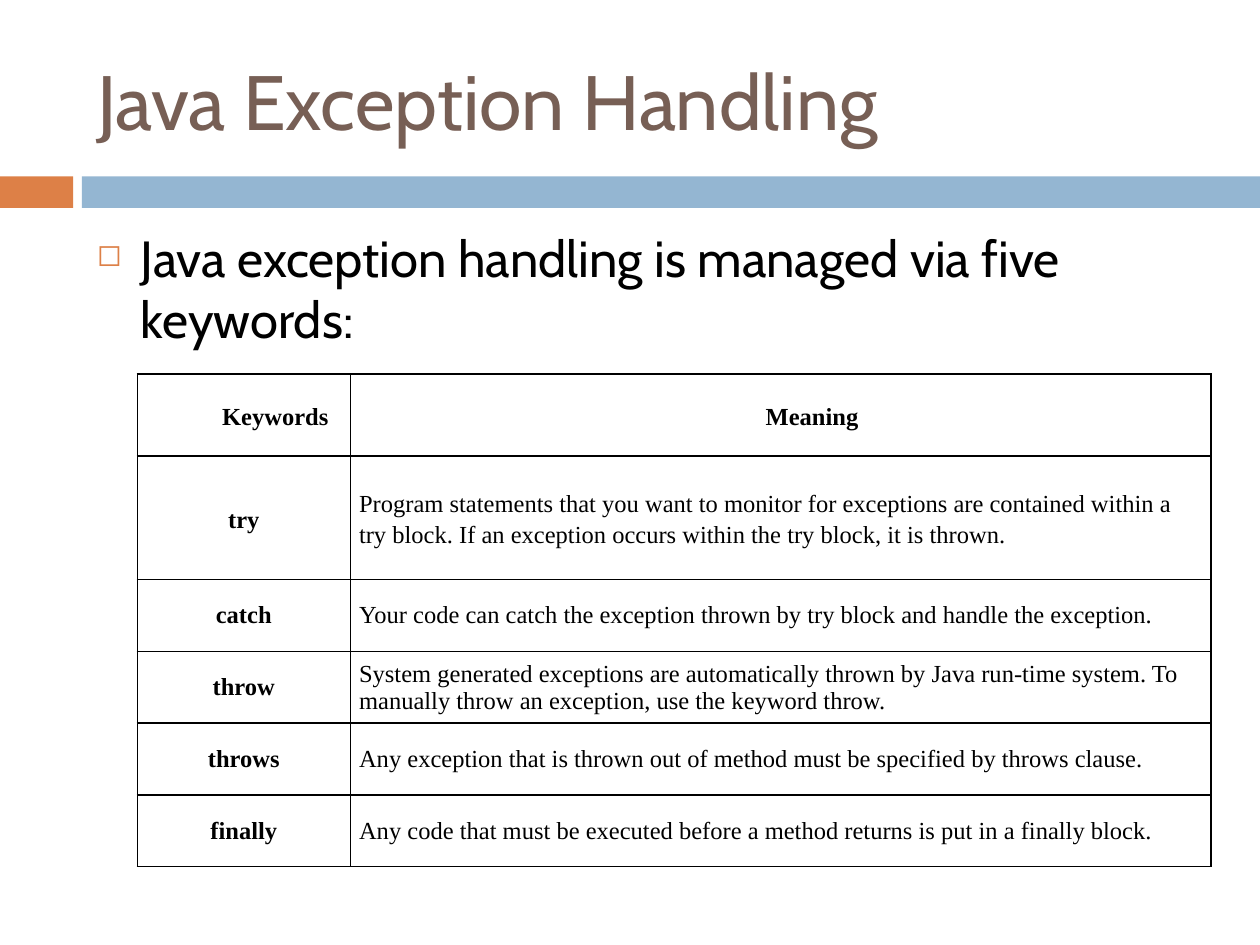
import pptx
import pptx.util
import pptx.dml.color
import pptx.enum.shapes
import pptx.enum.text
import pptx.oxml
import pptx.oxml.ns

Inches, Pt = pptx.util.Inches, pptx.util.Pt
RGBColor = pptx.dml.color.RGBColor
Align, Anchor = pptx.enum.text.PP_ALIGN, pptx.enum.text.MSO_ANCHOR

ORANGE = RGBColor(0xDD, 0x80, 0x47)
BLUE = RGBColor(0x94, 0xB6, 0xD2)
BROWN = RGBColor(0x77, 0x5F, 0x55)
BLACK = RGBColor(0, 0, 0)
NS = pptx.oxml.ns.nsdecls("a")


def style(part, color, **form):
    for key, value in form.items():
        setattr(part.font, key, value)
    part.font.color.rgb = color


def add_xml(node, *tags):
    for tag in tags:
        head, rest = tag.split(" ", 1)
        node.append(pptx.oxml.parse_xml(f"{head} {NS} {rest}"))


deck = pptx.Presentation()
deck.slide_width, deck.slide_height = Inches(10), Inches(7.5)
slide = deck.slides.add_slide(deck.slide_layouts[5])

# Band under the title
for left, width, color in ((0, 0.58, ORANGE), (0.65, 9.35, BLUE)):
    bar = slide.shapes.add_shape(
        pptx.enum.shapes.MSO_SHAPE.RECTANGLE,
        Inches(left), Inches(1.4), Inches(width), Inches(0.25))
    bar.shadow.inherit = False
    bar.fill.solid()
    bar.fill.fore_color.rgb = color
    bar.line.fill.background()

# Title
title = slide.shapes.title
place = {"left": 0.67, "top": 0.25, "width": 8.92, "height": 1.08}
for key, value in place.items():
    setattr(title, key, Inches(value))
title.text_frame.text = "Java Exception Handling"
title.text_frame.vertical_anchor = Anchor.MIDDLE
para = title.text_frame.paragraphs[0]
para.alignment = Align.LEFT
style(para.runs[0], BROWN, name="Cabin", size=Pt(44))

# Bullet line
body = slide.shapes.add_textbox(Inches(0.67), Inches(1.75), Inches(8.92), Inches(1.15))
body.text_frame.word_wrap = True
para = body.text_frame.paragraphs[0]
para.text = "Java exception handling is managed via five keywords:"
props = para._p.get_or_add_pPr()
props.set("marL", str(Inches(0.35)))
props.set("indent", str(-Inches(0.35)))
add_xml(props,
        f'<a:buClr ><a:srgbClr val="{ORANGE}"/></a:buClr>',
        '<a:buSzPct val="60000"/>',
        '<a:buChar char="◻"/>')
style(para.runs[0], BLACK, name="Cabin", size=Pt(29))

# Keyword table
rows = [
    ("Keywords", "Meaning"),
    ("try", "Program statements that you want to monitor for exceptions are contained "
            "within a try block. If an exception occurs within the try block, it is thrown."),
    ("catch", "Your code can catch the exception thrown by try block and handle the exception."),
    ("throw", "System generated exceptions are automatically thrown by Java run-time system. "
              "To manually throw an exception, use the keyword throw."),
    ("throws", "Any exception that is thrown out of method must be specified by throws clause."),
    ("finally", "Any code that must be executed before a method returns is put in a finally block."),
]
high = [0.65, 0.98] + [0.57] * 4
wide = [1.69, 6.83]
table = slide.shapes.add_table(
    len(rows), 2, Inches(1.09), Inches(2.97), Inches(sum(wide)), Inches(sum(high))).table
for col, width in zip(table.columns, wide):
    col.width = Inches(width)

inset = {"margin_left": Inches(0.07), "margin_right": Inches(0.07),
         "margin_top": 0, "margin_bottom": 0, "vertical_anchor": Anchor.MIDDLE}
for r, texts in enumerate(rows):
    table.rows[r].height = Inches(high[r])
    for c, text in enumerate(texts):
        cell = table.cell(r, c)
        for key, value in inset.items():
            setattr(cell, key, value)
        cell.text = text
        para = cell.text_frame.paragraphs[0]
        bold = r == 0 or c == 0
        para.alignment = Align.CENTER if bold else Align.LEFT
        if r < 2:
            para.line_spacing = 1.15
        if r == 0:
            para._p.get_or_add_pPr().set("marL", str(Inches(0.5)))
        style(para.runs[0], BLACK, name="Times New Roman", size=Pt(14), bold=bold)
        # Borders come before the fill in the cell properties
        add_xml(cell._tc.get_or_add_tcPr(), *(
            f'<a:ln{side} w="{Pt(1)}"><a:solidFill><a:srgbClr val="{BLACK}"/>'
            f'</a:solidFill></a:ln{side}>' for side in "LRTB"))
        cell.fill.background()

deck.save("out.pptx")
